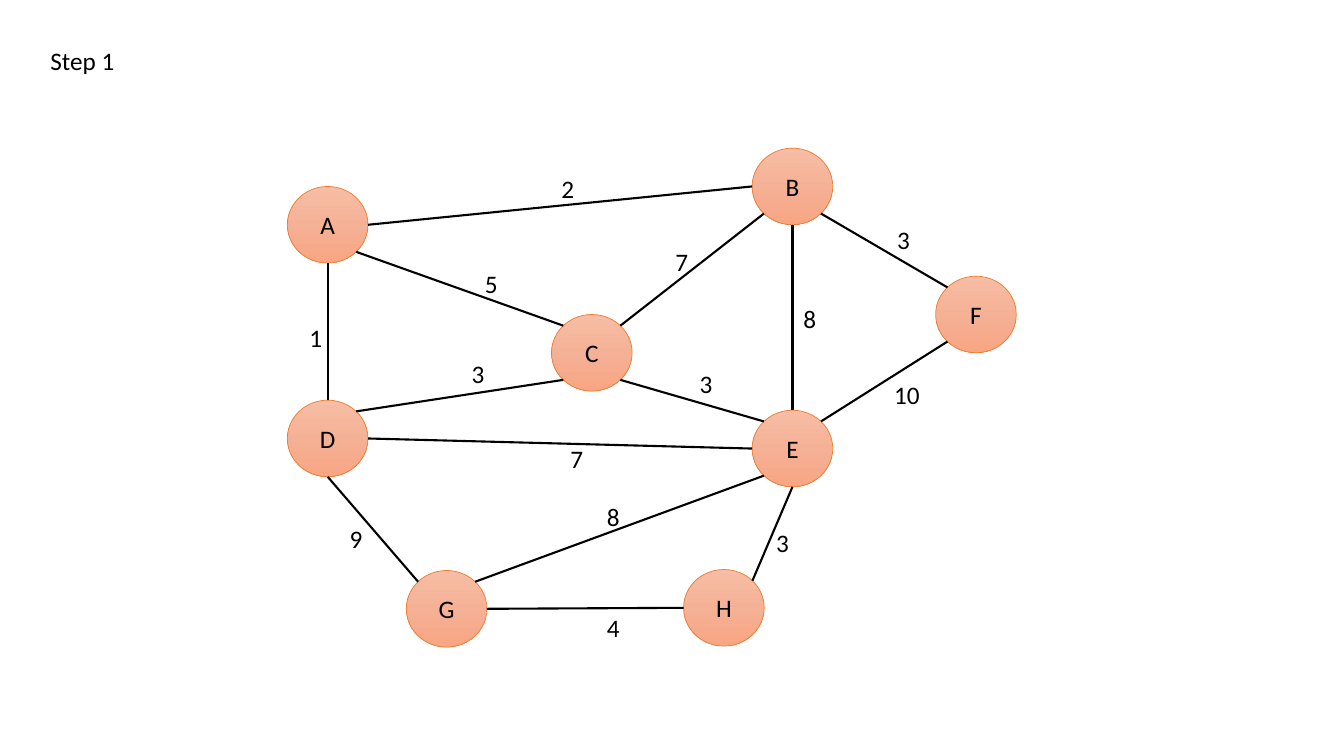
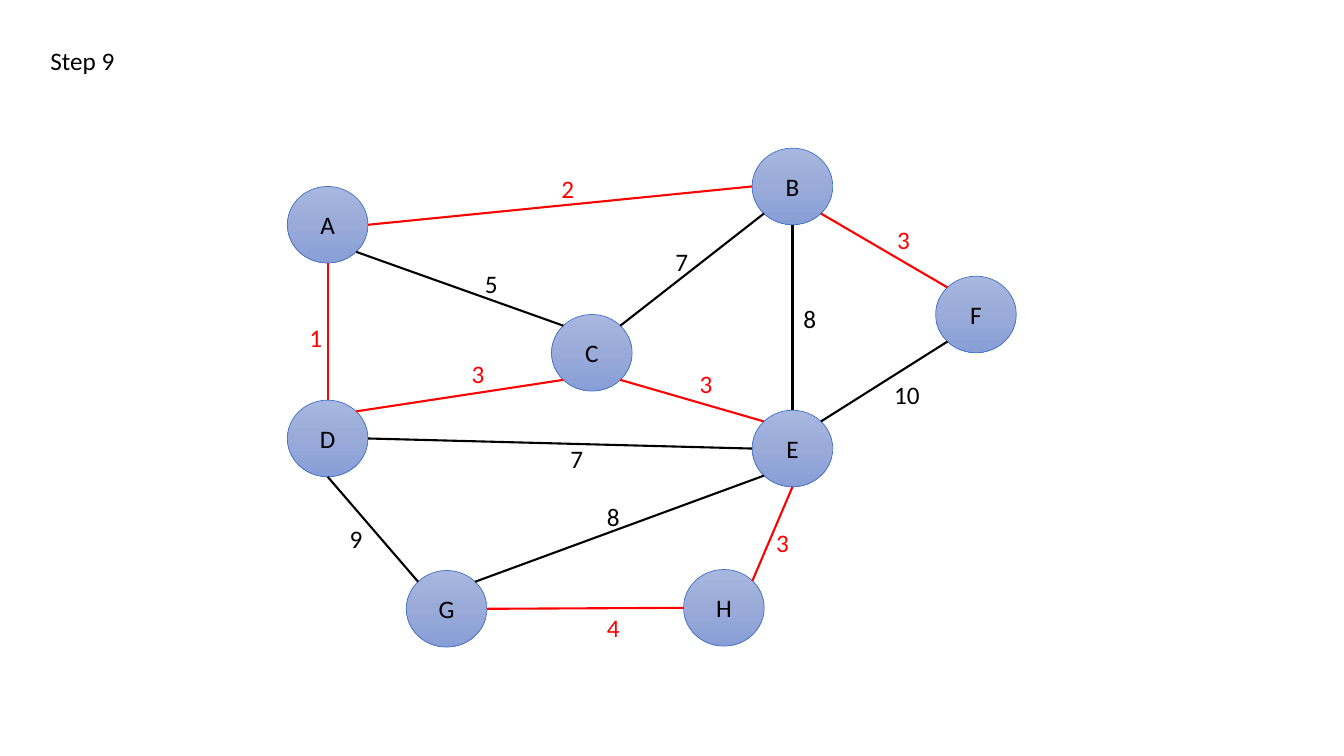
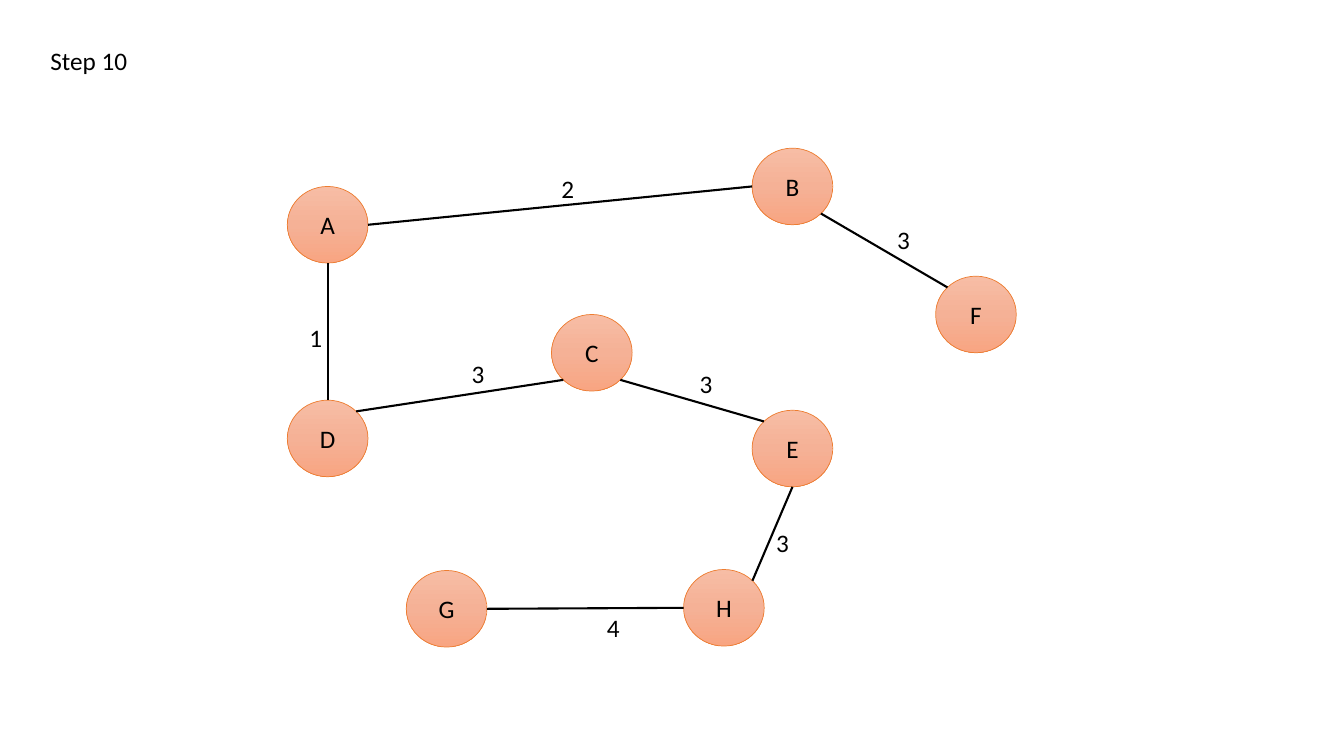
from copy import deepcopy
from math import cos, radians, sin

from lxml.etree import SubElement
from pptx import Presentation
from pptx.dml.color import RGBColor
from pptx.enum.shapes import MSO_CONNECTOR, MSO_SHAPE
from pptx.enum.text import MSO_ANCHOR, MSO_AUTO_SIZE, PP_ALIGN
from pptx.oxml.ns import qn
from pptx.util import Inches, Pt

FONT = "Calibri"
BLACK, RED = "000000", "FF0000"
ORANGE = {"stops": ["F7BDA5", "F5B196", "F8A582"], "outline": "ED7D31"}
BLUE = {"stops": ["A8B7DF", "9AABD9", "889ED7"], "outline": "4472C4"}
NODE_WIDTH, NODE_HEIGHT = 0.8, 0.76
TEXT_HEIGHT, DIGIT_WIDTH = 0.4, 0.13

NODES = {
    "A": (2.85, 1.85), "B": (7.46, 1.47), "C": (5.47, 3.12), "D": (2.85, 3.97),
    "G": (4.03, 5.66), "F": (9.28, 2.74), "H": (6.78, 5.65), "E": (7.46, 4.07),
}

TOP, TOP_LEFT, LEFT, BOTTOM_LEFT, BOTTOM, BOTTOM_RIGHT, RIGHT, TOP_RIGHT = range(8)
EDGES = [
    ("A", RIGHT, "B", LEFT, "2", 5.47, 1.67),
    ("A", BOTTOM, "D", TOP, "1", 2.97, 3.15),
    ("D", BOTTOM, "G", TOP_LEFT, "9", 3.37, 5.14),
    ("A", BOTTOM_RIGHT, "C", TOP_LEFT, "5", 4.71, 2.61),
    ("C", TOP_RIGHT, "B", BOTTOM_LEFT, "7", 6.6, 2.39),
    ("B", BOTTOM, "E", TOP, "8", 7.87, 2.96),
    ("B", BOTTOM_RIGHT, "F", TOP_LEFT, "3", 8.8, 2.18),
    ("F", BOTTOM_LEFT, "E", TOP_RIGHT, "10", 8.77, 3.71),
    ("D", TOP_RIGHT, "C", BOTTOM_LEFT, "3", 4.58, 3.51),
    ("D", RIGHT, "E", LEFT, "7", 5.56, 4.35),
    ("C", BOTTOM_RIGHT, "E", TOP_LEFT, "3", 6.84, 3.6),
    ("G", TOP_RIGHT, "E", BOTTOM_LEFT, "8", 5.92, 4.92),
    ("G", RIGHT, "H", LEFT, "4", 5.92, 6.03),
    ("E", BOTTOM, "H", TOP_RIGHT, "3", 7.6, 5.18),
]
TREE = {"AB", "AD", "BF", "DC", "CE", "GH", "EH"}

STEPS = [
    ("Step 1", ORANGE, BLACK, False),
    ("Step 9", BLUE, RED, False),
    ("Step 10", ORANGE, BLACK, True),
]


def rgb(value):
    return RGBColor.from_string(value)


def write(shape, text, color=BLACK, align=PP_ALIGN.LEFT, anchor=MSO_ANCHOR.TOP,
          wrap=False, fit=MSO_AUTO_SIZE.SHAPE_TO_FIT_TEXT):
    frame = shape.text_frame
    frame.word_wrap = wrap
    frame.auto_size = fit
    frame.vertical_anchor = anchor
    paragraph = frame.paragraphs[0]
    paragraph.alignment = align
    run = paragraph.add_run()
    run.text = text
    run.font.name = FONT
    run.font.size = Pt(18)
    run.font.color.rgb = rgb(color)


deck = Presentation()
deck.slide_width, deck.slide_height = Inches(13.33), Inches(7.5)

for step, palette, tree_color, tree_only in STEPS:
    slide = deck.slides.add_slide(deck.slide_layouts[5])
    heading = slide.shapes.title
    heading.left = heading.top = Inches(0.4)
    heading.width = Inches(0.06 + DIGIT_WIDTH * len(step))
    heading.height = Inches(TEXT_HEIGHT)
    write(heading, step)

    circles = {}
    for letter, (x, y) in NODES.items():
        circle = slide.shapes.add_shape(
            MSO_SHAPE.OVAL, Inches(x), Inches(y), Inches(NODE_WIDTH), Inches(NODE_HEIGHT))
        circle.shadow.inherit = False
        circle.fill.gradient()
        circle.fill.gradient_angle = 270
        stop_list = circle._element.spPr.find(".//" + qn("a:gsLst"))
        stop_list.append(deepcopy(stop_list[-1]))
        for index, stop in enumerate(circle.fill.gradient_stops):
            stop.position = index / 2
            stop.color.rgb = rgb(palette["stops"][index])
        circle.line.color.rgb = rgb(palette["outline"])
        circle.line.width = Pt(0.5)
        write(circle, letter, align=PP_ALIGN.CENTER, anchor=MSO_ANCHOR.MIDDLE,
              wrap=True, fit=MSO_AUTO_SIZE.NONE)
        circles[letter] = circle

    for start, start_site, end, end_site, weight, label_x, label_y in EDGES:
        in_tree = start + end in TREE
        if tree_only and not in_tree:
            continue
        color = tree_color if in_tree else BLACK

        ends = []
        for letter, site in ((start, start_site), (end, end_site)):
            x, y = NODES[letter]
            angle = radians(45 * site)
            ends += [Inches(x + NODE_WIDTH / 2 * (1 - sin(angle))),
                     Inches(y + NODE_HEIGHT / 2 * (1 - cos(angle)))]
        edge = slide.shapes.add_connector(MSO_CONNECTOR.STRAIGHT, *ends)
        edge.line.color.rgb = rgb(color)
        edge.line.width = Pt(1.5)
        SubElement(edge._element.spPr, qn("a:effectLst"))
        joints = edge._element.find(".//" + qn("p:cNvCxnSpPr"))
        for tag, letter, site in (("a:stCxn", start, start_site), ("a:endCxn", end, end_site)):
            SubElement(joints, qn(tag), id=str(circles[letter].shape_id), idx=str(site))

        label = slide.shapes.add_textbox(
            Inches(label_x), Inches(label_y),
            Inches(0.2 + DIGIT_WIDTH * len(weight)), Inches(TEXT_HEIGHT))
        write(label, weight, color=color)

deck.save("out.pptx")
